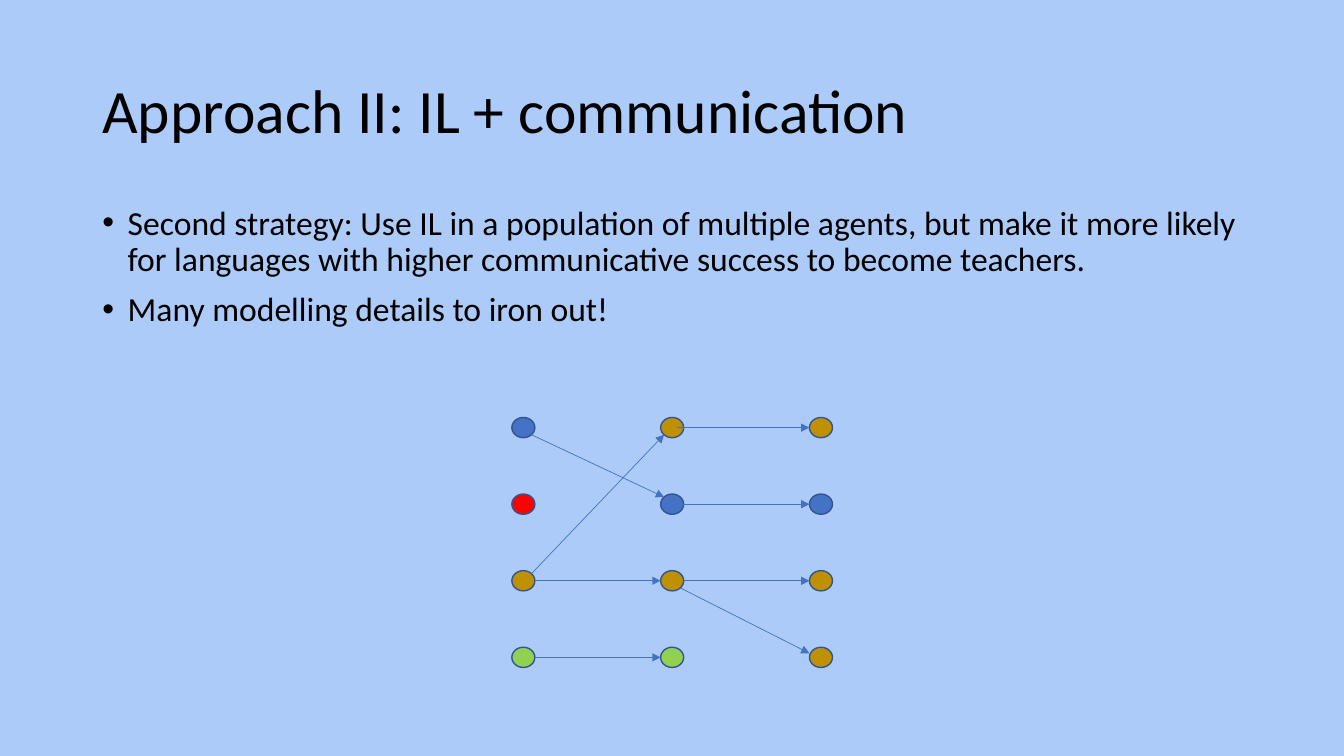
import pptx
import pptx.dml.color
import pptx.enum.shapes
import pptx.enum.text
import pptx.oxml
import pptx.oxml.ns
import pptx.util

Cm = pptx.util.Cm
Pt = pptx.util.Pt

COLORS = {
    "background": "ACCBF9",
    "text": "000000",
    "blue": "4472C4",
    "red": "FF0000",
    "gold": "BF9000",
    "green": "92D050",
    "outline": "325491",
}
GENERATIONS = [
    ["blue", "red", "gold", "green"],
    ["gold", "blue", "gold", "green"],
    ["gold", "blue", "gold", "gold"],
]
LEFT, TOP = 12.9, 10.52
COLUMN_STEP, ROW_STEP = 3.75, 1.93
AGENT_WIDTH, AGENT_HEIGHT = 0.58, 0.51

LEFT_SIDE, RIGHT_SIDE, INSIDE = (0, 0.5), (1, 0.5), (0.7, 0.5)
UPPER_LEFT, LOWER_LEFT = (0.15, 0.15), (0.15, 0.85)
UPPER_RIGHT, LOWER_RIGHT = (0.85, 0.15), (0.85, 0.85)
TRANSMISSIONS = [
    (0, 0, LOWER_RIGHT, 1, UPPER_LEFT),
    (0, 2, UPPER_RIGHT, 0, LOWER_LEFT),
    (0, 2, RIGHT_SIDE, 2, LEFT_SIDE),
    (0, 3, RIGHT_SIDE, 3, LEFT_SIDE),
    (1, 0, INSIDE, 0, LEFT_SIDE),
    (1, 2, RIGHT_SIDE, 2, LEFT_SIDE),
    (1, 1, INSIDE, 1, LEFT_SIDE),
    (1, 2, LOWER_RIGHT, 3, (0, 0.3)),
]


def agent_point(generation, row, anchor=(0, 0)):
    return (
        Cm(LEFT + generation * COLUMN_STEP + anchor[0] * AGENT_WIDTH),
        Cm(TOP + row * ROW_STEP + anchor[1] * AGENT_HEIGHT),
    )


class SlideBuilder:
    """Draws styled elements on the current slide."""

    font_name = "Calibri"

    def __init__(self, slide):
        self.slide = slide
        background = slide.background.fill
        background.solid()
        background.fore_color.rgb = self.color("background")

    def color(self, name):
        return pptx.dml.color.RGBColor.from_string(COLORS[name])

    def add_text(self, top, height, lines, size, anchor, bulleted=False):
        shape = self.slide.shapes.add_textbox(Cm(2.33), Cm(top), Cm(29.21), Cm(height))
        text_frame = shape.text_frame
        text_frame.word_wrap = True
        text_frame.vertical_anchor = anchor
        text_frame.text = "\n".join(lines)
        for index, paragraph in enumerate(text_frame.paragraphs):
            if bulleted:
                self.add_bullet(paragraph)
            paragraph.line_spacing = 0.9
            if index:
                paragraph.space_before = Pt(10)
            for run in paragraph.runs:
                run.font.name = self.font_name
                run.font.size = Pt(size)
                run.font.color.rgb = self.color("text")

    def add_bullet(self, paragraph):
        properties = paragraph._p.get_or_add_pPr()
        properties.set("marL", str(Cm(0.64)))
        properties.set("indent", str(-Cm(0.64)))
        font = pptx.oxml.ns.qn("a:buFont")
        character = pptx.oxml.ns.qn("a:buChar")
        properties.append(properties.makeelement(font, {"typeface": "Arial"}))
        properties.append(properties.makeelement(character, {"char": "•"}))

    def add_group(self):
        return self.slide.shapes.add_group_shape()

    def add_agent(self, group, generation, row, fill):
        shape = group.shapes.add_shape(
            pptx.enum.shapes.MSO_SHAPE.OVAL,
            *agent_point(generation, row),
            Cm(AGENT_WIDTH),
            Cm(AGENT_HEIGHT),
        )
        shape.shadow.inherit = False
        shape.fill.solid()
        shape.fill.fore_color.rgb = self.color(fill)
        shape.line.color.rgb = self.color("outline")
        shape.line.width = Pt(1)

    def add_arrow(self, group, start, end):
        connector = group.shapes.add_connector(
            pptx.enum.shapes.MSO_CONNECTOR.STRAIGHT, *start, *end
        )
        connector.line.color.rgb = self.color("blue")
        connector.line.width = Pt(0.5)
        line = connector.line._get_or_add_ln()
        line.append(
            line.makeelement(pptx.oxml.ns.qn("a:tailEnd"), {"type": "triangle"})
        )
        properties = connector._element.spPr
        properties.append(
            properties.makeelement(pptx.oxml.ns.qn("a:effectLst"), {})
        )


def main():
    presentation = pptx.Presentation()
    presentation.slide_width = Cm(33.87)
    presentation.slide_height = Cm(19.05)
    builder = SlideBuilder(presentation.slides.add_slide(presentation.slide_layouts[6]))

    anchors = pptx.enum.text.MSO_ANCHOR
    builder.add_text(1.01, 3.68, ["Approach II: IL + communication"], 44, anchors.MIDDLE)
    strategy = [
        "Second strategy: Use IL in a population of multiple agents, but make it "
        "more likely for languages with higher communicative success to become teachers.",
        "Many modelling details to iron out!",
    ]
    builder.add_text(5.07, 4.27, strategy, 24, anchors.TOP, bulleted=True)

    population = builder.add_group()
    for generation, agents in enumerate(GENERATIONS):
        for row, fill in enumerate(agents):
            builder.add_agent(population, generation, row, fill)
    for generation, teacher, start, learner, end in TRANSMISSIONS:
        builder.add_arrow(
            population,
            agent_point(generation, teacher, start),
            agent_point(generation + 1, learner, end),
        )
    presentation.save("out.pptx")


if __name__ == "__main__":
    main()
